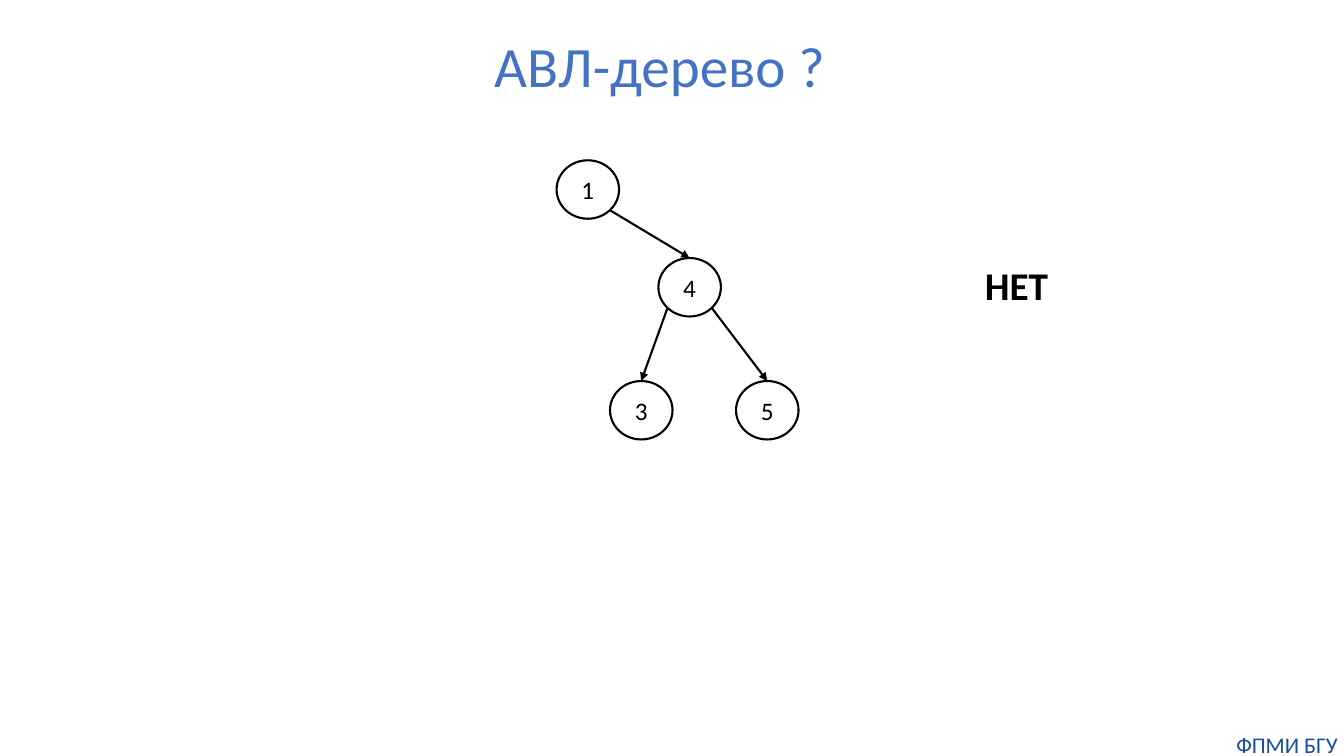
import math

from lxml import etree
from pptx import Presentation
from pptx import util as u
from pptx.dml.color import RGBColor
from pptx.enum import shapes, text
from pptx.oxml.ns import qn

WIDTH, HEIGHT = 13.33, 7.5
BLACK, TITLE_BLUE, FOOTER_BLUE = "000000", "4472C4", "144E9D"
NODE_WIDTH, NODE_HEIGHT = 0.62, 0.58

# Key: left and top of the node, relative to the tree's box
NODES = {"1": (0, 0), "4": (1.01, 0.97), "3": (0.53, 2.19), "5": (1.78, 2.19)}
# Parent, child, side of the parent (-1 left, 1 right)
EDGES = [("1", "4", 1), ("4", "3", -1), ("4", "5", 1)]


def color(value):
    return RGBColor.from_string(value)


def place(shape, box):
    shape.left, shape.top, shape.width, shape.height = map(u.Inches, box)


def write(shape, words, size, fill, bold=False, align=text.PP_ALIGN.CENTER,
          anchor=text.MSO_ANCHOR.TOP, wrap=True, margin=None):
    frame = shape.text_frame
    frame.word_wrap = wrap
    frame.auto_size = text.MSO_AUTO_SIZE.NONE
    frame.vertical_anchor = anchor
    if margin is not None:
        frame.margin_left = frame.margin_right = u.Inches(margin)
        frame.margin_top = frame.margin_bottom = u.Inches(margin)
    paragraph = frame.paragraphs[0]
    paragraph.alignment = align
    run = paragraph.add_run()
    run.text = words
    run.font.name = "Calibri"
    run.font.size = u.Pt(size)
    run.font.bold = bold
    run.font.color.rgb = color(fill)
    return paragraph


def add_title(slide, box):
    title = slide.shapes.title
    place(title, box)
    paragraph = write(title, "АВЛ-дерево ?", 40.7, TITLE_BLUE)
    paragraph.line_spacing = 0.8
    paragraph.space_before = u.Pt(0)


def add_label(slide, box, words, size, fill, **style):
    label = slide.shapes.add_textbox(*map(u.Inches, box))
    write(label, words, size, fill, **style)


def add_node(slide, key, left, top):
    node = slide.shapes.add_shape(
        shapes.MSO_SHAPE.OVAL,
        *map(u.Inches, (left, top, NODE_WIDTH, NODE_HEIGHT)))
    node.shadow.inherit = False
    node.fill.background()
    node.line.color.rgb = color(BLACK)
    node.line.width = u.Pt(1.5)
    write(node, key, 18, BLACK, anchor=text.MSO_ANCHOR.MIDDLE, margin=0)
    return node


def add_edge(slide, parent, child, side):
    # Leave the parent's outline at 45 degrees, enter the child at its top
    reach = math.sqrt(0.5) / 2
    start_x = parent.left + int(parent.width * (0.5 + side * reach))
    start_y = parent.top + int(parent.height * (0.5 + reach))
    edge = slide.shapes.add_connector(
        shapes.MSO_CONNECTOR.STRAIGHT, start_x, start_y,
        child.left + child.width // 2, child.top)
    edge.end_connect(child, 0)
    edge.line.color.rgb = color(BLACK)
    edge.line.width = u.Pt(1.5)
    etree.SubElement(edge.line._get_or_add_ln(), qn("a:tailEnd"), type="triangle")
    etree.SubElement(edge._element.spPr, qn("a:effectLst"))


def add_tree(slide, left, top):
    nodes = {key: add_node(slide, key, left + x, top + y)
             for key, (x, y) in NODES.items()}
    for parent, child, side in EDGES:
        add_edge(slide, nodes[parent], nodes[child], side)


def main():
    presentation = Presentation()
    presentation.slide_width = u.Inches(WIDTH)
    presentation.slide_height = u.Inches(HEIGHT)
    slide = presentation.slides.add_slide(presentation.slide_layouts[5])

    # Title
    add_title(slide, (4.49, 0.38, 4.1, 0.65))
    # Tree
    add_tree(slide, 5.52, 1.59)
    # Footer in the bottom right corner
    add_label(slide, (WIDTH - 1.13, HEIGHT - 0.25, 1.13, 0.27),
              "ФПМИ БГУ", 16, FOOTER_BLUE, margin=0)
    # Answer
    add_label(slide, (9.67, 2.54, 0.83, 0.57), "НЕТ", 28, BLACK,
              bold=True, align=text.PP_ALIGN.LEFT, wrap=False)

    presentation.save("out.pptx")


if __name__ == "__main__":
    main()
